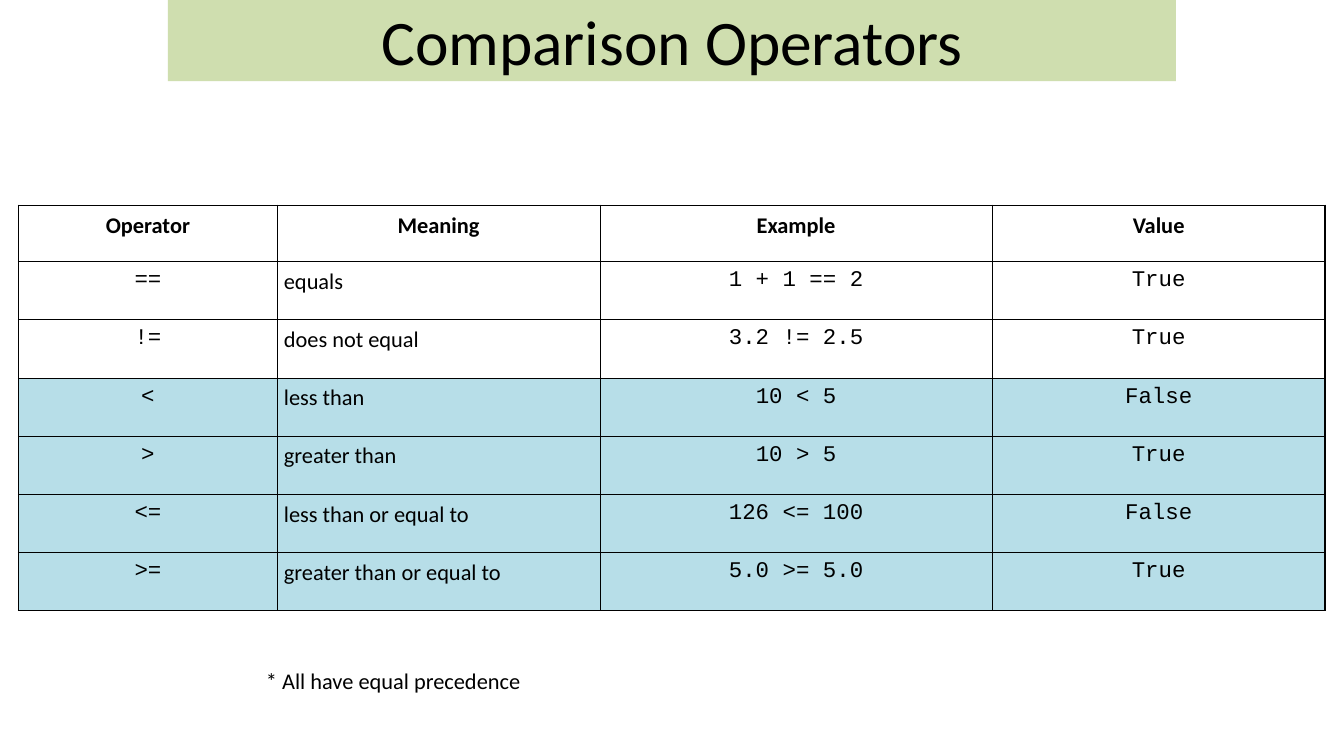
"""Build a slide that tabulates the comparison operators."""
from lxml.etree import SubElement
from pptx import Presentation
from pptx.dml.color import RGBColor
from pptx.enum.shapes import MSO_SHAPE
from pptx.enum.text import MSO_ANCHOR, MSO_AUTO_SIZE, PP_ALIGN
from pptx.oxml.ns import qn
from pptx.util import Pt

BLACK = RGBColor(0x00, 0x00, 0x00)
GREEN = RGBColor(0xC3, 0xD6, 0x9B)
BLUE = RGBColor(0xB7, 0xDE, 0xE8)

HEADINGS = ("Operator", "Meaning", "Example", "Value")
OPERATORS = (
    ("==", "equals", "1 + 1 == 2", "True"),
    ("!=", "does not equal", "3.2 != 2.5", "True"),
    ("<", "less than", "10 < 5", "False"),
    (">", "greater than", "10 > 5", "True"),
    ("<=", "less than or equal to", "126 <= 100", "False"),
    (">=", "greater than or equal to", "5.0 >= 5.0", "True"),
)
ROWS = (HEADINGS, *OPERATORS)
COLUMN_WIDTHS = (138.5, 173, 210, 178.5)
FIRST_SHADED_ROW = 3


def add_text(frame, text, size, font="Calibri", align=PP_ALIGN.LEFT, bold=False, inset=3):
    frame.margin_left = frame.margin_right = Pt(inset)
    frame.margin_top = frame.margin_bottom = Pt(inset)
    para = frame.paragraphs[0]
    para.alignment = align
    span = para.add_run()
    span.text = text
    span.font.size = Pt(size)
    span.font.name = font
    span.font.bold = bold
    span.font.color.rgb = BLACK
    return para


def add_border(cell, side, width):
    line = SubElement(cell._tc.get_or_add_tcPr(), qn(f"a:ln{side}"), w=str(Pt(width)))
    fill = SubElement(line, qn("a:solidFill"))
    SubElement(fill, qn("a:srgbClr"), val=str(BLACK))


deck = Presentation()
deck.slide_width, deck.slide_height = Pt(720), Pt(405)
page = deck.slides.add_slide(deck.slide_layouts[5])

band = page.shapes.add_shape(MSO_SHAPE.RECTANGLE, Pt(90), Pt(0), Pt(540), Pt(43.5))
band.shadow.inherit = False
band.line.fill.background()
band.fill.solid()
band.fill.fore_color.rgb = GREEN
SubElement(band.element.spPr.find(".//" + qn("a:srgbClr")), qn("a:alpha"), val="80000")

title = page.shapes.title
title.left, title.top, title.width, title.height = Pt(92.5), Pt(1.25), Pt(535), Pt(41)
title.text_frame.word_wrap = True
title.text_frame.auto_size = MSO_AUTO_SIZE.NONE
title.text_frame.vertical_anchor = MSO_ANCHOR.MIDDLE
add_text(title.text_frame, "Comparison Operators", 34, align=PP_ALIGN.CENTER)
band.element.addnext(title.element)

table = page.shapes.add_table(
    len(ROWS), len(HEADINGS), Pt(10), Pt(110), Pt(sum(COLUMN_WIDTHS)), Pt(217)
).table
table.first_row = table.horz_banding = False
for column, width in zip(table.columns, COLUMN_WIDTHS):
    column.width = Pt(width)

last_row, last_column = len(ROWS) - 1, len(HEADINGS) - 1
for row_index, texts in enumerate(ROWS):
    is_header = row_index == 0
    table.rows[row_index].height = Pt(30 if is_header else 31.2)
    for column_index, text in enumerate(texts):
        cell = table.cell(row_index, column_index)
        is_meaning = column_index == 1
        cell.margin_left = cell.margin_right = Pt(3.6)
        cell.margin_top = cell.margin_bottom = Pt(3.6)
        para = add_text(
            cell.text_frame,
            text,
            12,
            font="Calibri" if is_header or is_meaning else "Courier New",
            align=PP_ALIGN.LEFT if is_meaning and not is_header else PP_ALIGN.CENTER,
            bold=is_header,
            inset=3.6,
        )
        para.space_before = Pt(3)
        outer_sides = {
            "L": column_index == 0,
            "R": column_index == last_column,
            "T": is_header,
            "B": row_index == last_row,
        }
        for side, is_outer in outer_sides.items():
            add_border(cell, side, 1 if is_outer else 0.25)
        if row_index >= FIRST_SHADED_ROW:
            cell.fill.solid()
            cell.fill.fore_color.rgb = BLUE
        else:
            cell.fill.background()

note = page.shapes.add_textbox(Pt(139.5), Pt(354.5), Pt(142.5), Pt(18))
note.text_frame.word_wrap = False
note.text_frame.auto_size = MSO_AUTO_SIZE.SHAPE_TO_FIT_TEXT
add_text(note.text_frame, "* All have equal precedence", 12)

deck.save("out.pptx")
